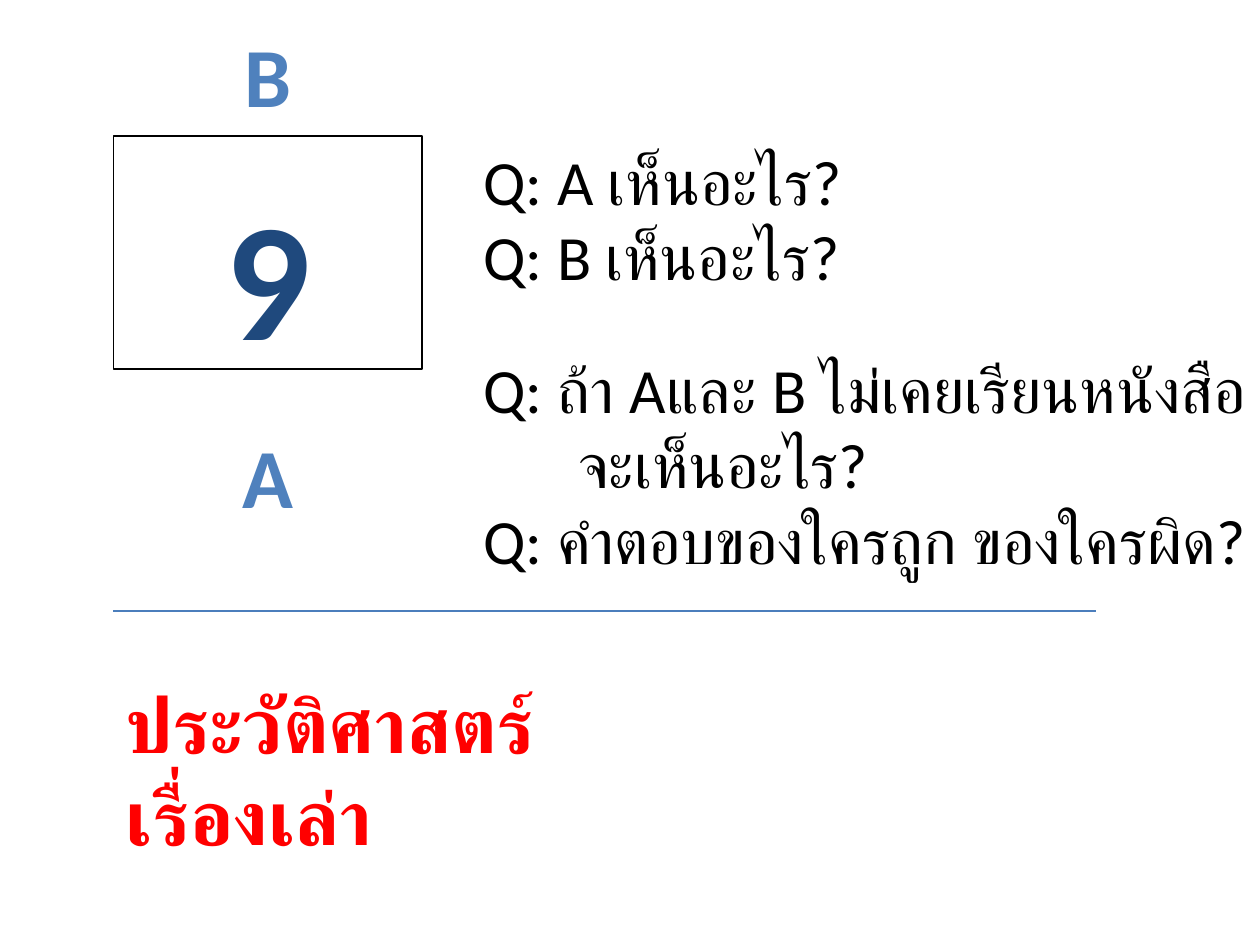
from pptx import Presentation, util as u
from pptx.dml.color import RGBColor
from pptx.enum import shapes, text
from pptx.oxml.ns import qn
from lxml import etree

hues = {"white": "FFFFFF", "black": "000000", "navy": "1F497D",
        "blue": "4F81BD", "red": "FF0000", "rule": "4B7EBC"}


def tint(name):
    return RGBColor.from_string(hues[name])


def write(box, lines, size, hue, bold):
    frame = box.text_frame
    frame.word_wrap = True
    frame.auto_size = text.MSO_AUTO_SIZE.SHAPE_TO_FIT_TEXT
    frame.vertical_anchor = text.MSO_ANCHOR.TOP
    frame.text = "\n".join(lines)
    for para in frame.paragraphs:
        para.alignment = text.PP_ALIGN.LEFT
        para.font.name = "Calibri"
        para.font.size = u.Pt(size)
        para.font.bold = bold
        para.font.color.rgb = tint(hue)
    return frame.paragraphs


deck = Presentation()
deck.slide_width = u.Inches(10)
deck.slide_height = u.Inches(7.5)
slide = deck.slides.add_slide(deck.slide_layouts[6])

left = u.Inches(0.9)
cards = [("9", 1.08, 1.85, 96, "navy"),
         ("A", 3.2, 0.98, 48, "blue"),
         ("B", 0.02, 0.98, 48, "blue")]
for sign, top, high, size, hue in cards:
    card = slide.shapes.add_shape(shapes.MSO_SHAPE.RECTANGLE, left, u.Inches(top),
                                  u.Inches(2.45), u.Inches(high))
    card.shadow.inherit = False
    card.fill.solid()
    card.fill.fore_color.rgb = tint("white")
    if sign == "9":
        card.line.color.rgb = tint("black")
        card.line.width = u.Pt(0.75)
    else:
        card.line.fill.background()
    para = write(card, [sign], size, hue, True)[0]
    para.alignment = text.PP_ALIGN.CENTER
    para.line_spacing = 1.15
    para.space_after = u.Pt(10)

rule = slide.shapes.add_connector(shapes.MSO_CONNECTOR.STRAIGHT, left, u.Inches(4.85),
                                  u.Inches(8.7), u.Inches(4.85))
rule.line.color.rgb = tint("rule")
rule.line.width = u.Pt(0.75)
etree.SubElement(rule._element.spPr, qn("a:effectLst"))

notes = [
    (3.74, 1.08, 1.31, 36, "black", False, ["Q: A เห็นอะไร?", "Q: B เห็นอะไร?"]),
    (3.74, 2.73, 1.92, 36, "black", False,
     ["Q: ถ้า Aและ B ไม่เคยเรียนหนังสือ", "จะเห็นอะไร?", "Q: คำตอบของใครถูก ของใครผิด?"]),
    (0.9, 5.32, 1.58, 44, "red", True, ["ประวัติศาสตร์", "เรื่องเล่า"]),
]
for x, y, high, size, hue, bold, lines in notes:
    box = slide.shapes.add_textbox(u.Inches(x), u.Inches(y), u.Inches(6.84), u.Inches(high))
    for para in write(box, lines, size, hue, bold):
        if para.text.startswith("จะ"):
            para._p.get_or_add_pPr().set("marL", str(u.Inches(0.75)))

deck.save("out.pptx")
